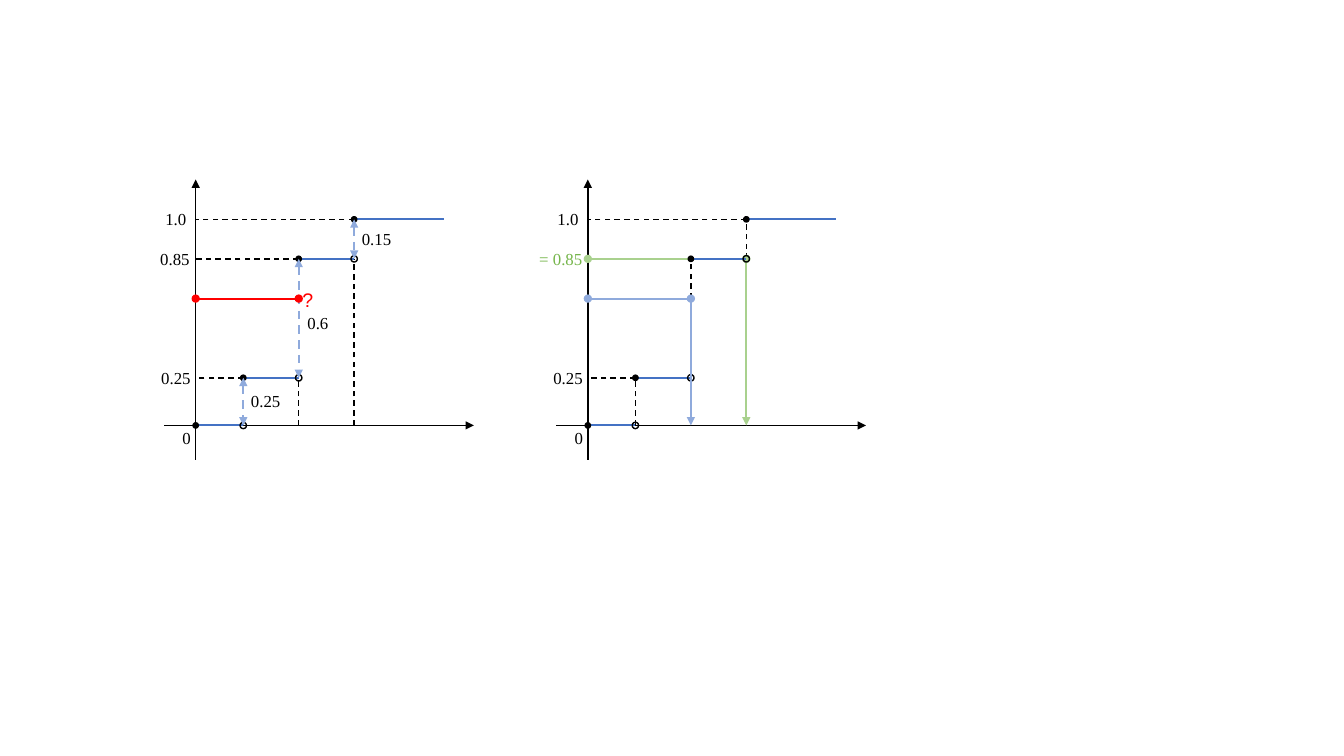
"""Draw two step-function plots that explain reading values off a cumulative distribution."""
from dataclasses import dataclass

from lxml.etree import SubElement
from pptx import Presentation
from pptx.dml.color import RGBColor
from pptx.enum.dml import MSO_LINE_DASH_STYLE as DashStyle
from pptx.enum.shapes import MSO_CONNECTOR_TYPE as ConnectorType, MSO_SHAPE as ShapeType
from pptx.oxml.ns import qn
from pptx.shapes.shapetree import GroupShapes
from pptx.util import Pt

BLACK = RGBColor(0x00, 0x00, 0x00)
RED = RGBColor(0xFF, 0x00, 0x00)
STEP_BLUE = RGBColor(0x44, 0x72, 0xC4)
LIGHT_BLUE = RGBColor(0x8F, 0xAA, 0xDC)
LIGHT_GREEN = RGBColor(0xA9, 0xD1, 0x8E)
LABEL_GREEN = RGBColor(0x75, 0xB5, 0x4A)

BASELINE = 303.9
X1, X2, X3, X_END = 34, 73.6, 113.2, 177.2
Y1, Y2, Y3 = 34, 119, 147.2
QUERY = 90.6


@dataclass(frozen=True)
class Stroke:
    """A line from one point to another, measured from the plot's zero point."""
    x1: float
    y1: float
    x2: float
    y2: float
    color: RGBColor = BLACK
    width: float = 1
    dashed: bool = False
    head: str = ""
    tail: str = ""


@dataclass(frozen=True)
class Label:
    """A piece of text whose box starts at a point of the plot."""
    text: str
    x: float
    y: float
    width: float
    height: float = 21.6
    color: RGBColor = BLACK
    font: str = "Times New Roman"
    size: float = 12


@dataclass(frozen=True)
class Plot:
    """What one plot has beyond the shared axes, steps, dots and labels."""
    origin: float
    guides: list[Stroke]
    overlays: list[Stroke]
    labels: list[Label]


def dashed(x1: float, y1: float, x2: float, y2: float) -> Stroke:
    """Return a black dashed guide."""
    return Stroke(x1, y1, x2, y2, dashed=True)


def jump(x: float, low: float, high: float) -> Stroke:
    """Return a dashed double arrow for the height of a step."""
    return Stroke(x, high, x, low, LIGHT_BLUE, 1.5, True, "triangle", "triangle")


def level(x: float, y: float, color: RGBColor) -> Stroke:
    """Return a line with round ends from the vertical axis."""
    return Stroke(x, y, 0, y, color, 1.5, head="oval", tail="oval")


def drop(x: float, y: float, color: RGBColor) -> Stroke:
    """Return an arrow down to the horizontal axis."""
    return Stroke(x, 0, x, y, color, 1.5, head="triangle")


AXES = [Stroke(0, -24.5, 0, 175.7, tail="triangle"),
        Stroke(-22.5, 0, 198.7, 0, tail="triangle")]
SHARED_GUIDES = [dashed(X1, Y1, 0, Y1), dashed(X3, Y3, 0, Y3)]
STEPS = [Stroke(start, y, end, y, STEP_BLUE, 1.5) for start, end, y in
         [(0, X1, 0), (X1, X2, Y1), (X2, X3, Y2), (X3, X_END, Y3)]]
CLOSED_DOTS = [(0, 0), (X1, Y1), (X2, Y2), (X3, Y3)]
OPEN_DOTS = [(X1, 0), (X2, Y1), (X3, Y2)]
SHARED_LABELS = [Label("0.25", -31.7, 44.7, 36), Label("0", -16.6, 2.2, 20.9),
                 Label("1.0", -28.8, 158.4, 29.5)]

PLOTS = [
    Plot(139.8,
         [dashed(X2, Y2, 0, Y2), dashed(X2, 0, X2, Y1), dashed(X3, 0, X3, Y2)],
         [jump(X3, Y2, Y3), jump(X2, Y1, Y2), jump(X1, 0, Y1), level(X2, QUERY, RED)],
         [Label("0.85", -32.4, 129.6, 36), Label("0.25", 32.4, 28.1, 36),
          Label("0.6", 72.7, 84.2, 29.5), Label("0.15", 111.6, 144, 36),
          Label("?", 69.1, 101.6, 21.6, 24.5, RED, "Arial", 14)]),
    Plot(419.9,
         [dashed(X1, 0, X1, Y1), dashed(X2, QUERY, X2, Y2), dashed(X3, Y2, X3, Y3),
          level(X3, Y2, LIGHT_GREEN), drop(X3, Y2, LIGHT_GREEN)],
         [level(X2, QUERY, LIGHT_BLUE), drop(X2, QUERY, LIGHT_BLUE)],
         [Label("= 0.85", -41.8, 129.6, 45.4, color=LABEL_GREEN)]),
]


def add_stroke(shapes: GroupShapes, origin: float, stroke: Stroke) -> None:
    """Draw a line with its dash and end marks."""
    line = shapes.add_connector(
        ConnectorType.STRAIGHT,
        Pt(origin + stroke.x1), Pt(BASELINE - stroke.y1),
        Pt(origin + stroke.x2), Pt(BASELINE - stroke.y2))
    line.line.color.rgb = stroke.color
    line.line.width = Pt(stroke.width)
    if stroke.dashed:
        line.line.dash_style = DashStyle.DASH
    properties = line._element.spPr
    outline = properties.find(qn("a:ln"))
    for tag, mark in (("a:headEnd", stroke.head), ("a:tailEnd", stroke.tail)):
        if mark:
            SubElement(outline, qn(tag), type=mark)
    SubElement(properties, qn("a:effectLst"))


def add_dot(shapes: GroupShapes, x: float, y: float, diameter: float, closed: bool) -> None:
    """Draw a closed or open dot around a point."""
    dot = shapes.add_shape(ShapeType.OVAL, Pt(x - diameter / 2), Pt(y - diameter / 2),
                           Pt(diameter), Pt(diameter))
    dot.shadow.inherit = False
    if closed:
        dot.fill.solid()
        dot.fill.fore_color.rgb = BLACK
    else:
        dot.fill.background()
    dot.line.color.rgb = BLACK
    dot.line.width = Pt(1)


def add_text(shapes: GroupShapes, text: str, *, left: float, top: float, width: float,
             height: float, color: RGBColor, font: str, size: float) -> None:
    """Place one line of text in the given format."""
    box = shapes.add_textbox(Pt(left), Pt(top), Pt(width), Pt(height))
    box.text_frame.word_wrap = False
    para = box.text_frame.paragraphs[0]
    span = para.add_run()
    span.text = text
    span.font.name = font
    span.font.size = Pt(size)
    span.font.color.rgb = color


def draw_plot(shapes: GroupShapes, plot: Plot) -> None:
    """Draw a whole plot from back to front."""
    for stroke in AXES + SHARED_GUIDES + plot.guides + STEPS:
        add_stroke(shapes, plot.origin, stroke)
    for dots, diameter, closed in ((CLOSED_DOTS, 3.8, True), (OPEN_DOTS, 4.6, False)):
        for x, y in dots:
            add_dot(shapes, plot.origin + x, BASELINE - y, diameter, closed)
    for stroke in plot.overlays:
        add_stroke(shapes, plot.origin, stroke)
    for label in SHARED_LABELS + plot.labels:
        add_text(shapes, label.text, left=plot.origin + label.x, top=BASELINE - label.y,
                 width=label.width, height=label.height, color=label.color,
                 font=label.font, size=label.size)


def main() -> None:
    """Build the deck and save it."""
    deck = Presentation()
    deck.slide_width, deck.slide_height = Pt(960), Pt(540)
    page = deck.slides.add_slide(deck.slide_layouts[6])
    for plot in PLOTS:
        draw_plot(page.shapes.add_group_shape().shapes, plot)
    deck.save("out.pptx")


if __name__ == "__main__":
    main()
